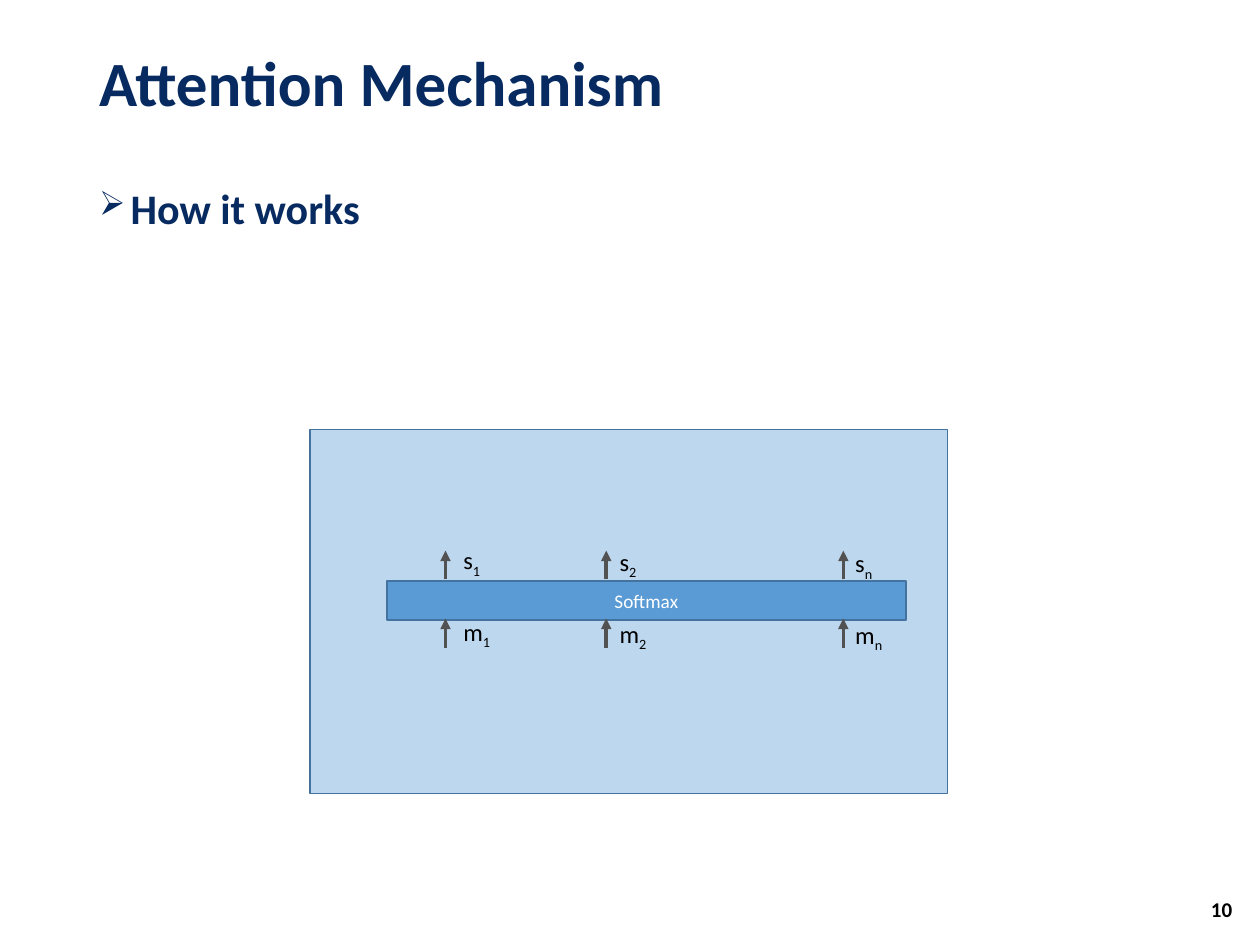
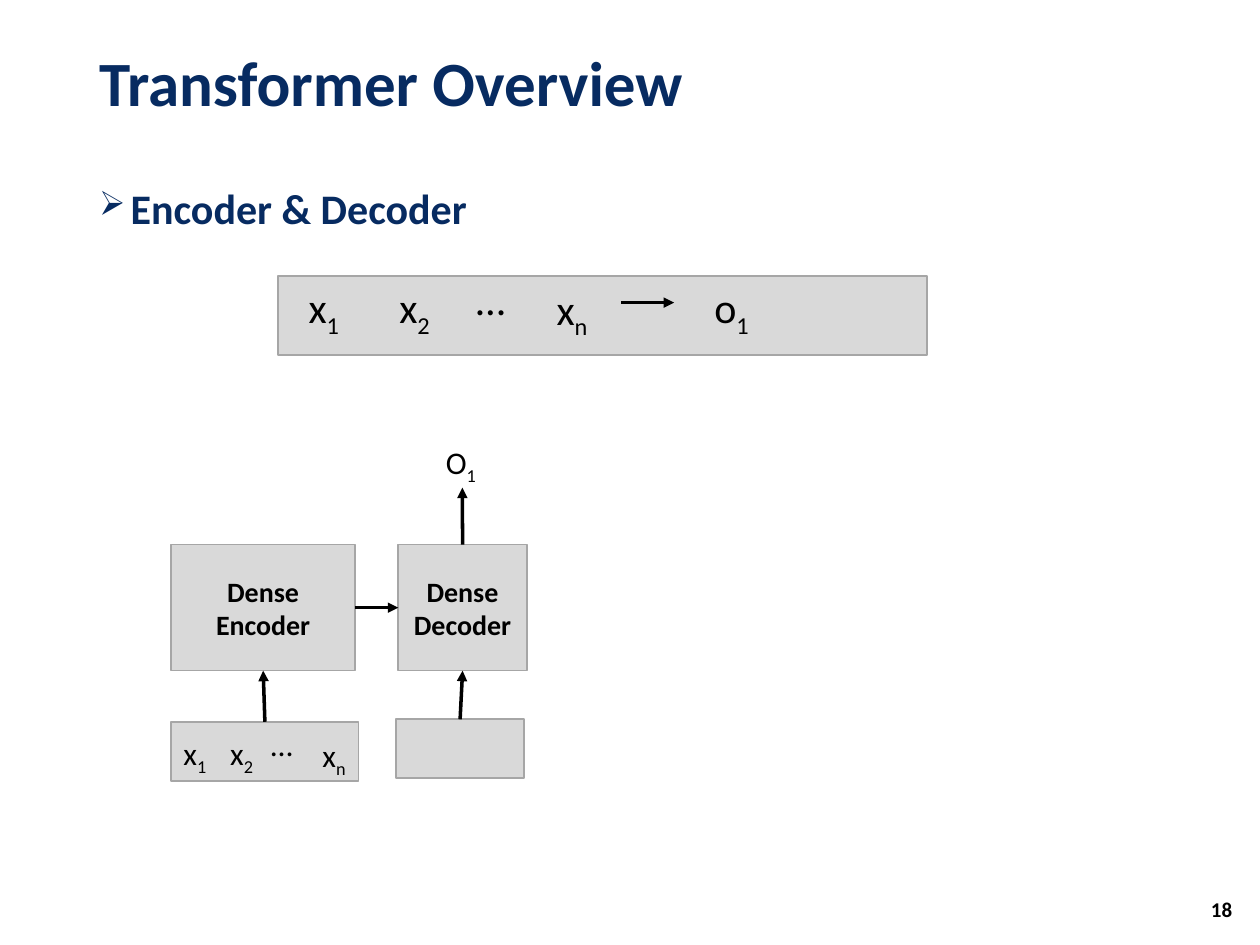
"""Build two slides on attention and the transformer."""
from lxml import etree
from pptx import Presentation
from pptx.dml.color import RGBColor
from pptx.enum.shapes import MSO_CONNECTOR, MSO_SHAPE
from pptx.enum.text import MSO_ANCHOR, MSO_AUTO_SIZE, PP_ALIGN
from pptx.oxml.ns import qn
from pptx.util import Cm, Pt

RECT, LINE = MSO_SHAPE.RECTANGLE, MSO_CONNECTOR.STRAIGHT
TOP, MIDDLE = MSO_ANCHOR.TOP, MSO_ANCHOR.MIDDLE
GROW, FIXED = MSO_AUTO_SIZE.SHAPE_TO_FIT_TEXT, MSO_AUTO_SIZE.NONE
LEFT, CENTER, RIGHT = PP_ALIGN.LEFT, PP_ALIGN.CENTER, PP_ALIGN.RIGHT

FONT = "Calibri"
NAVY = RGBColor(0x07, 0x2B, 0x61)
BLACK = RGBColor(0, 0, 0)
WHITE = RGBColor(0xFF, 0xFF, 0xFF)
PALE = RGBColor(0xBD, 0xD7, 0xEE)
BLUE = RGBColor(0x5B, 0x9B, 0xD5)
EDGE = RGBColor(0x43, 0x73, 0x9E)
DARK = RGBColor(0x52, 0x52, 0x52)
GRAY = RGBColor(0xD9, 0xD9, 0xD9)
RIM = RGBColor(0xA6, 0xA6, 0xA6)

ATTENTION = ("Attention Mechanism", "How it works", "10")
OVERVIEW = ("Transformer Overview", "Encoder & Decoder", "18")

PANEL = (6.25, 8.66, 12.85, 7.34)
SOFTMAX = (7.8, 11.71, 10.46, 0.79)
COLUMNS = [("1", 8.98, 9.09), ("2", 12.22, 12.24), ("n", 17.0, 16.99)]
ROWS = [("m", 12.32, 1.07, 13.06, 12.47), ("s", 10.87, 0.86, 11.68, 11.1)]

BAR = (5.61, 5.56, 13.08, 1.6)
SERIES = [("x_1", 5.97, 5.56, 1.17), ("x_2", 7.8, 5.56, 1.17),
          ("…", 9.35, 5.38, 1.12), ("x_n", 10.97, 5.59, 1.17),
          ("o_1", 14.15, 5.56, 1.24)]
INPUTS = [("x_1", 3.45, 14.68, 1.04), ("x_2", 4.39, 14.68, 1.04),
          ("…", 5.21, 14.5, 1.14), ("x_n", 6.25, 14.71, 1.04),
          ("O_1", 8.74, 8.81, 1.14)]
BOXES = {"encoder": ("Dense\nEncoder", (3.45, 10.98, 3.71, 2.54)),
         "decoder": ("Dense\nDecoder", (8.03, 10.98, 2.59, 2.54)),
         "source": ("", (3.45, 14.55, 3.78, 1.19)),
         "target": ("", (7.98, 14.5, 2.59, 1.19))}
LINKS = [("source", 0, "encoder", 2), ("target", 0, "decoder", 2),
         ("encoder", 3, "decoder", 1)]


def style(frame, size, color, bold=False, align=LEFT):
    for para in frame.paragraphs:
        para.alignment = align
        for run in para.runs:
            font = run.font
            font.name, font.size, font.bold = FONT, Pt(size), bold
            font.color.rgb = color


def text(slide, words, box, size, color=BLACK, bold=False, align=LEFT, anchor=MIDDLE):
    frame = slide.shapes.add_textbox(*map(Cm, box)).text_frame
    frame.word_wrap, frame.auto_size = True, FIXED
    frame.vertical_anchor = anchor
    frame.text = words
    style(frame, size, color, bold, align)
    return frame


def label(slide, words, x, y, wide, size):
    base, _, sub = words.partition("_")
    frame = text(slide, base, (x, y, wide, size * 0.04 + 0.3), size, anchor=TOP)
    frame.word_wrap, frame.auto_size = False, GROW
    if sub:
        run = frame.paragraphs[0].add_run()
        run.text = sub
        style(frame, size, BLACK)
        run.font._element.set("baseline", "-25000")


def rect(slide, box, fill, edge, words="", size=16, color=BLACK, bold=True):
    shape = slide.shapes.add_shape(RECT, *map(Cm, box))
    shape.shadow.inherit = False
    shape.fill.solid()
    shape.fill.fore_color.rgb = fill
    shape.line.color.rgb = edge
    shape.line.width = Pt(1)
    if words:
        shape.text_frame.text = words
        shape.text_frame.vertical_anchor = MIDDLE
        style(shape.text_frame, size, color, bold, CENTER)
    return shape


def arrow(slide, ends, color=BLACK):
    link = slide.shapes.add_connector(LINE, *map(Cm, ends))
    link.line.color.rgb = color
    link.line.width = Pt(2)
    props = link._element.spPr
    etree.SubElement(props.find(qn("a:ln")), qn("a:tailEnd"), type="triangle")
    etree.SubElement(props, qn("a:effectLst"))
    return link


def start(deck, title, topic, number):
    slide = deck.slides.add_slide(deck.slide_layouts[6])
    head = text(slide, title, (1.75, 0.46, 21.9, 2.57), 36, NAVY, True)
    head.paragraphs[0].line_spacing = 0.9
    para = text(slide, topic, (1.75, 3.66, 21.9, 13.82), 24, NAVY, True,
                anchor=TOP).paragraphs[0]
    para.line_spacing, para.space_before = 0.9, Pt(10)
    props = para._p.get_or_add_pPr()
    props.set("marL", str(Pt(18)))
    props.set("indent", str(-Pt(18)))
    etree.SubElement(props, qn("a:buSzPct"), val="80000")
    etree.SubElement(props, qn("a:buChar"), char="➢")
    text(slide, number, (23.77, 17.81, 1.32, 1.02), 12, BLACK, True, RIGHT)
    return slide


def attention(deck):
    slide = start(deck, *ATTENTION)
    rect(slide, PANEL, PALE, EDGE)
    rect(slide, SOFTMAX, BLUE, EDGE, "Softmax", 11, WHITE, False)
    for name, y, wide, tail, tip in ROWS:
        for i, (sub, x, left) in enumerate(COLUMNS):
            arrow(slide, (x, tail, x, tip), DARK)
            label(slide, f"{name}_{sub}", left, y + 0.03 * i, wide, 14)


def overview(deck):
    slide = start(deck, *OVERVIEW)
    rect(slide, BAR, GRAY, RIM)
    for item in SERIES:
        label(slide, *item, 24)
    arrow(slide, (12.52, 6.1, 13.59, 6.1))
    made = {key: rect(slide, box, GRAY, RIM, words)
            for key, (words, box) in BOXES.items()}
    for item in INPUTS:
        label(slide, *item, 18)
    for tail, out, tip, into in LINKS:
        link = arrow(slide, (0, 0, 0, 0))
        link.begin_connect(made[tail], out)
        link.end_connect(made[tip], into)
    rise = arrow(slide, (9.32, 10.98, 9.32, 9.83))
    rise.begin_connect(made["decoder"], 0)


def main():
    deck = Presentation()
    deck.slide_width, deck.slide_height = Cm(25.4), Cm(19.05)
    attention(deck)
    overview(deck)
    deck.save("out.pptx")


if __name__ == "__main__":
    main()
